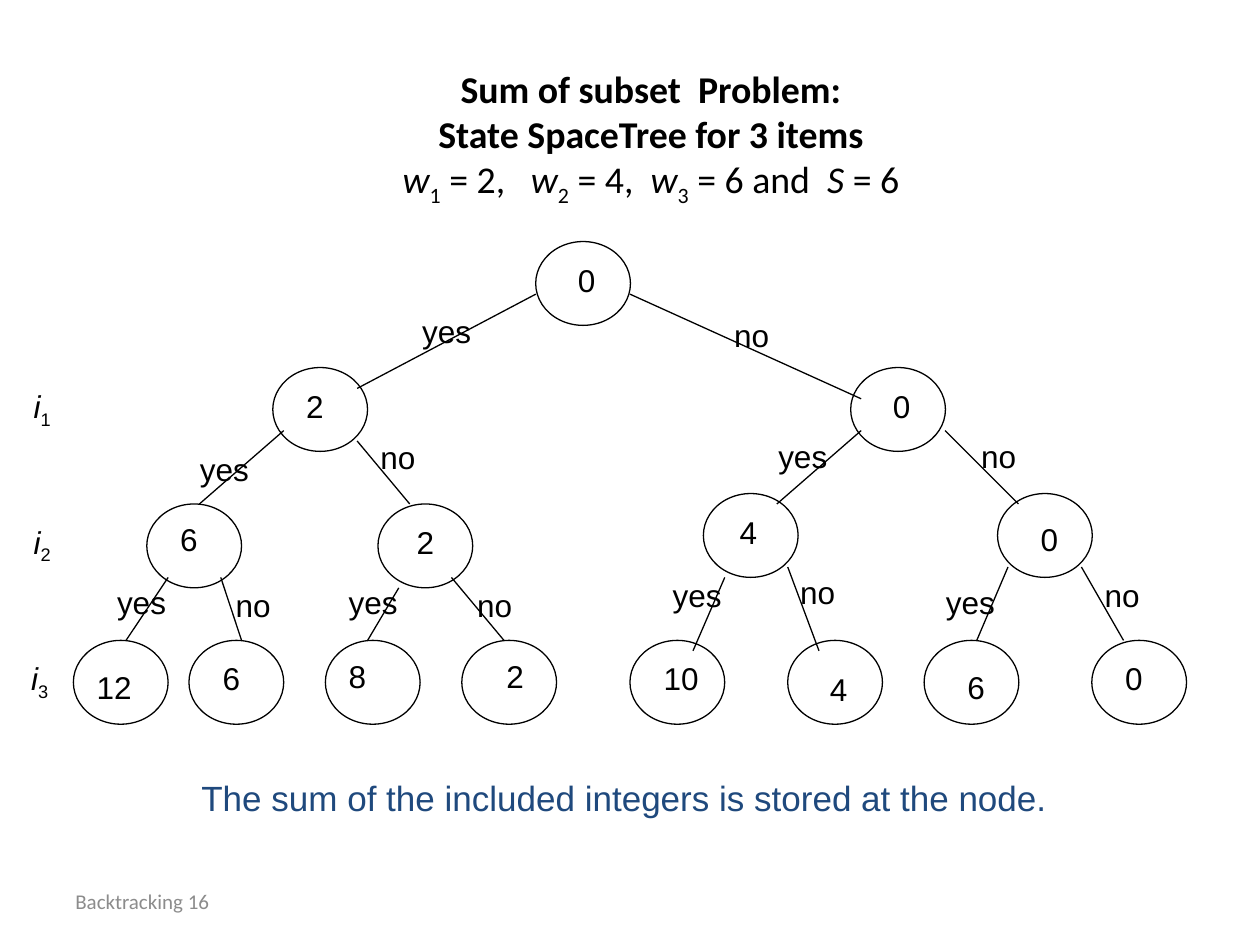
from dataclasses import dataclass

from pptx import Presentation
from pptx import util as u
from pptx.dml.color import RGBColor
from pptx.enum import shapes, text
from pptx.oxml.ns import qn
from pptx.slide import Slide

BLACK = RGBColor(0x00, 0x00, 0x00)
GRAY = RGBColor(0x8C, 0x8C, 0x8C)
BLUE = RGBColor(0x1F, 0x49, 0x7D)

LINE_WIDTH = u.Pt(0.75)
NODE_WIDTH, NODE_HEIGHT = 1.91, 1.69
LABEL_HEIGHT = 1.02
LABEL_WIDTHS = {1: 0.86, 2: 1.22, 3: 1.5}  # by number of characters

LEVEL_0, LEVEL_1, LEVEL_2_LEFT, LEVEL_2_RIGHT, LEVEL_3 = 4.87, 7.41, 10.16, 9.95, 12.91


@dataclass(frozen=True)
class Run:
    text: str
    bold: bool = False
    italic: bool = False
    subscript: bool = False


@dataclass(frozen=True)
class Node:
    """A circle at (x, y) and the place of its sum, in centimetres."""
    x: float
    y: float
    total: str
    label_x: float
    label_y: float


@dataclass(frozen=True)
class Branch:
    """A line between two points and the place of its answer, in centimetres."""
    start: tuple[float, float]
    end: tuple[float, float]
    answer: str
    label_x: float
    label_y: float


NODES = [
    Node(10.8, LEVEL_0, "0", 11.4, 5.13),
    Node(5.5, LEVEL_1, "2", 5.92, 7.67),
    Node(17.15, LEVEL_1, "0", 17.75, 7.67),
    Node(2.96, LEVEL_2_LEFT, "6", 3.38, 10.36),
    Node(7.62, LEVEL_2_LEFT, "2", 8.15, 10.41),
    Node(14.18, LEVEL_2_RIGHT, "4", 14.66, 10.21),
    Node(20.11, LEVEL_2_RIGHT, "0", 20.73, 10.36),
    Node(1.48, LEVEL_3, "12", 1.7, 13.34),
    Node(3.81, LEVEL_3, "6", 4.24, 13.16),
    Node(6.56, LEVEL_3, "8", 6.78, 13.13),
    Node(9.31, LEVEL_3, "2", 9.96, 13.13),
    Node(12.7, LEVEL_3, "10", 13.13, 13.16),
    Node(15.88, LEVEL_3, "4", 16.48, 13.39),
    Node(18.63, LEVEL_3, "6", 19.25, 13.34),
    Node(22.01, LEVEL_3, "0", 22.43, 13.16),
]

BRANCHES = [
    Branch((10.8, 5.93), (7.2, 7.83), "yes", 8.26, 6.17),
    Branch((12.7, 5.93), (17.36, 8.04), "no", 14.55, 6.25),
    Branch((5.72, 8.68), (4.02, 10.16), "yes", 3.78, 8.94),
    Branch((7.2, 8.89), (8.26, 10.16), "no", 7.42, 8.71),
    Branch((17.36, 8.68), (15.66, 10.16), "yes", 15.44, 8.69),
    Branch((19.05, 8.68), (20.53, 10.16), "no", 19.53, 8.69),
    Branch((3.39, 11.64), (2.54, 12.91), "yes", 2.11, 11.63),
    Branch((4.45, 11.64), (4.87, 12.91), "no", 4.5, 11.68),
    Branch((8.04, 11.85), (7.41, 12.91), "yes", 6.78, 11.63),
    Branch((9.1, 11.64), (10.16, 12.91), "no", 9.37, 11.68),
    Branch((14.61, 11.64), (13.97, 13.12), "yes", 13.31, 11.48),
    Branch((15.88, 11.43), (16.51, 13.12), "no", 15.88, 11.43),
    Branch((20.32, 11.43), (19.69, 12.91), "yes", 18.82, 11.63),
    Branch((21.8, 11.43), (22.65, 12.91), "no", 22.02, 11.48),
]

LEVEL_LABELS = [("1", 0.43, 7.67), ("2", 0.43, 10.41), ("3", 0.38, 13.16)]


def variable(name: str, index: str) -> list[Run]:
    return [Run(name, italic=True), Run(index, subscript=True)]


TITLE = [
    [Run("Sum of subset  Problem:", bold=True)],
    [Run("State SpaceTree for 3 items", bold=True)],
    [
        *variable("w", "1"), Run(" = 2,   "),
        *variable("w", "2"), Run(" = 4,  "),
        *variable("w", "3"), Run(" = 6 and "),
        Run(" S", italic=True), Run(" = 6"),
    ],
]


def add_text(slide: Slide, lines: list[list[Run]], x: float, y: float,
             width: float, height: float, *, size: float = 18,
             font: str = "Arial", color: RGBColor = BLACK, wrap: bool = True,
             anchor=text.MSO_ANCHOR.MIDDLE, align=text.PP_ALIGN.LEFT) -> None:
    """Write lines of runs as one paragraph, parted by line breaks."""
    box = slide.shapes.add_textbox(u.Cm(x), u.Cm(y), u.Cm(width), u.Cm(height))
    frame = box.text_frame
    frame.word_wrap = wrap
    frame.vertical_anchor = anchor
    paragraph = frame.paragraphs[0]
    paragraph.alignment = align
    for number, line in enumerate(lines):
        if number:
            paragraph.add_line_break()
        for part in line:
            run = paragraph.add_run()
            run.text = part.text
            run.font.name = font
            run.font.size = u.Pt(size)
            run.font.color.rgb = color
            run.font.bold = part.bold
            run.font.italic = part.italic
            if part.subscript:
                run.font._element.set("baseline", "-25000")


def add_label(slide: Slide, runs: list[Run], x: float, y: float, width: float) -> None:
    add_text(slide, [runs], x, y, width, LABEL_HEIGHT, wrap=False,
             anchor=text.MSO_ANCHOR.TOP)


def add_short_label(slide: Slide, label: str, x: float, y: float) -> None:
    add_label(slide, [Run(label)], x, y, LABEL_WIDTHS[len(label)])


def add_node(slide: Slide, node: Node) -> None:
    circle = slide.shapes.add_shape(
        shapes.MSO_SHAPE.OVAL, u.Cm(node.x), u.Cm(node.y),
        u.Cm(NODE_WIDTH), u.Cm(NODE_HEIGHT))
    circle.shadow.inherit = False
    circle.fill.background()
    circle.line.color.rgb = BLACK
    circle.line.width = LINE_WIDTH


def add_branch(slide: Slide, branch: Branch) -> None:
    ends = [u.Cm(value) for value in (*branch.start, *branch.end)]
    line = slide.shapes.add_connector(shapes.MSO_CONNECTOR.STRAIGHT, *ends)
    line.line.color.rgb = BLACK
    line.line.width = LINE_WIDTH
    properties = line._element.spPr
    properties.append(properties.makeelement(qn("a:effectLst"), {}))


def main() -> None:
    presentation = Presentation()
    presentation.slide_width, presentation.slide_height = u.Cm(25.4), u.Cm(19.05)
    slide = presentation.slides.add_slide(presentation.slide_layouts[6])

    add_text(slide, TITLE, 1.91, 1.27, 22.43, 2.97, size=21.6, font="Calibri",
             align=text.PP_ALIGN.CENTER)
    for node in NODES:
        add_node(slide, node)
    for branch in BRANCHES:
        add_branch(slide, branch)
    for node in NODES:
        add_short_label(slide, node.total, node.label_x, node.label_y)
    for branch in BRANCHES:
        add_short_label(slide, branch.answer, branch.label_x, branch.label_y)
    for index, x, y in LEVEL_LABELS:
        add_label(slide, variable("i", index), x, y, 0.89)
    add_text(slide, [[Run("The sum of the included integers is stored at the node.")]],
             3.81, 15.24, 18.63, 1.69, size=20, color=BLUE)
    add_text(slide, [[Run("Backtracking 16")]], 1.27, 17.65, 5.93, 1.02,
             size=12, font="Calibri", color=GRAY)

    presentation.save("out.pptx")


if __name__ == "__main__":
    main()
